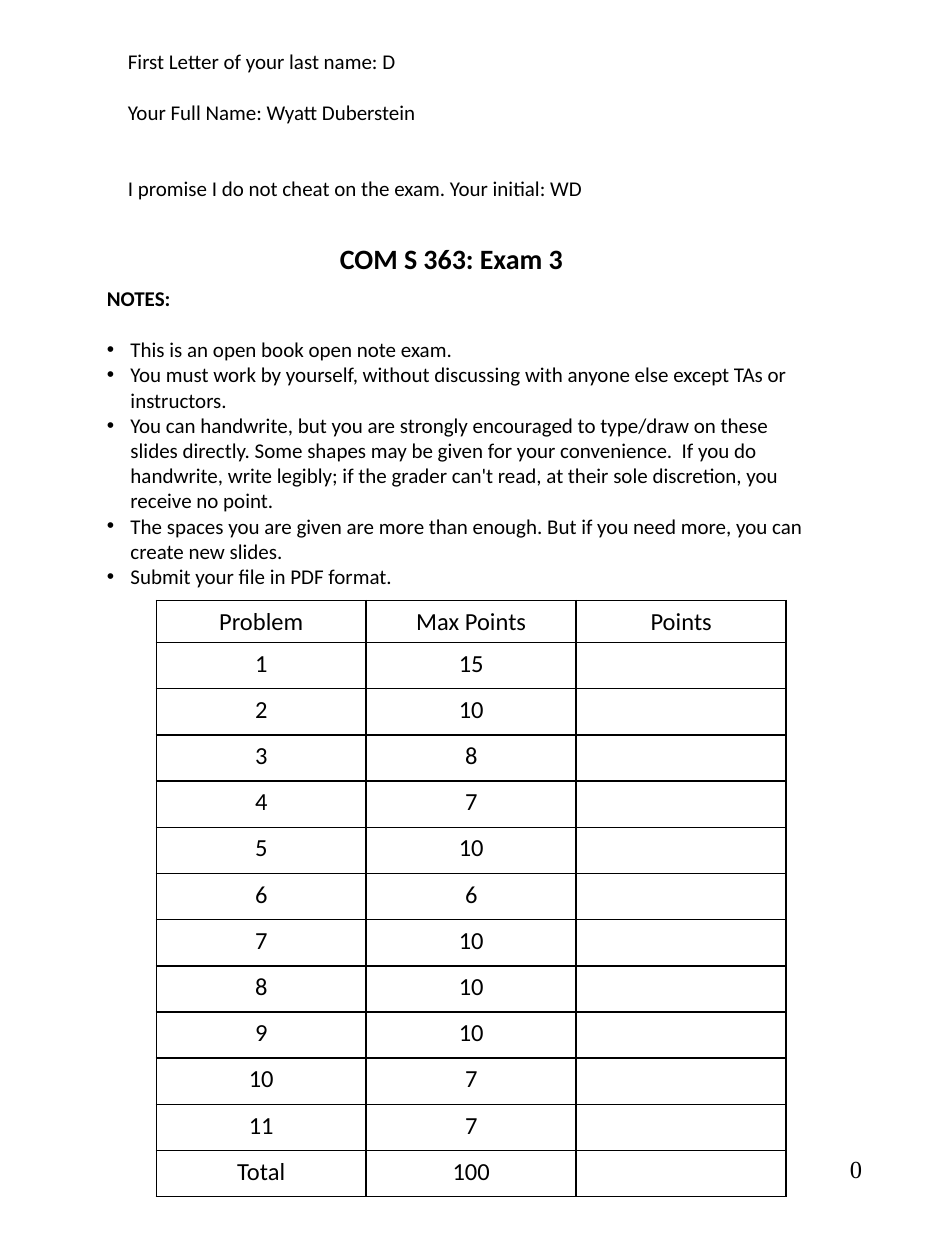
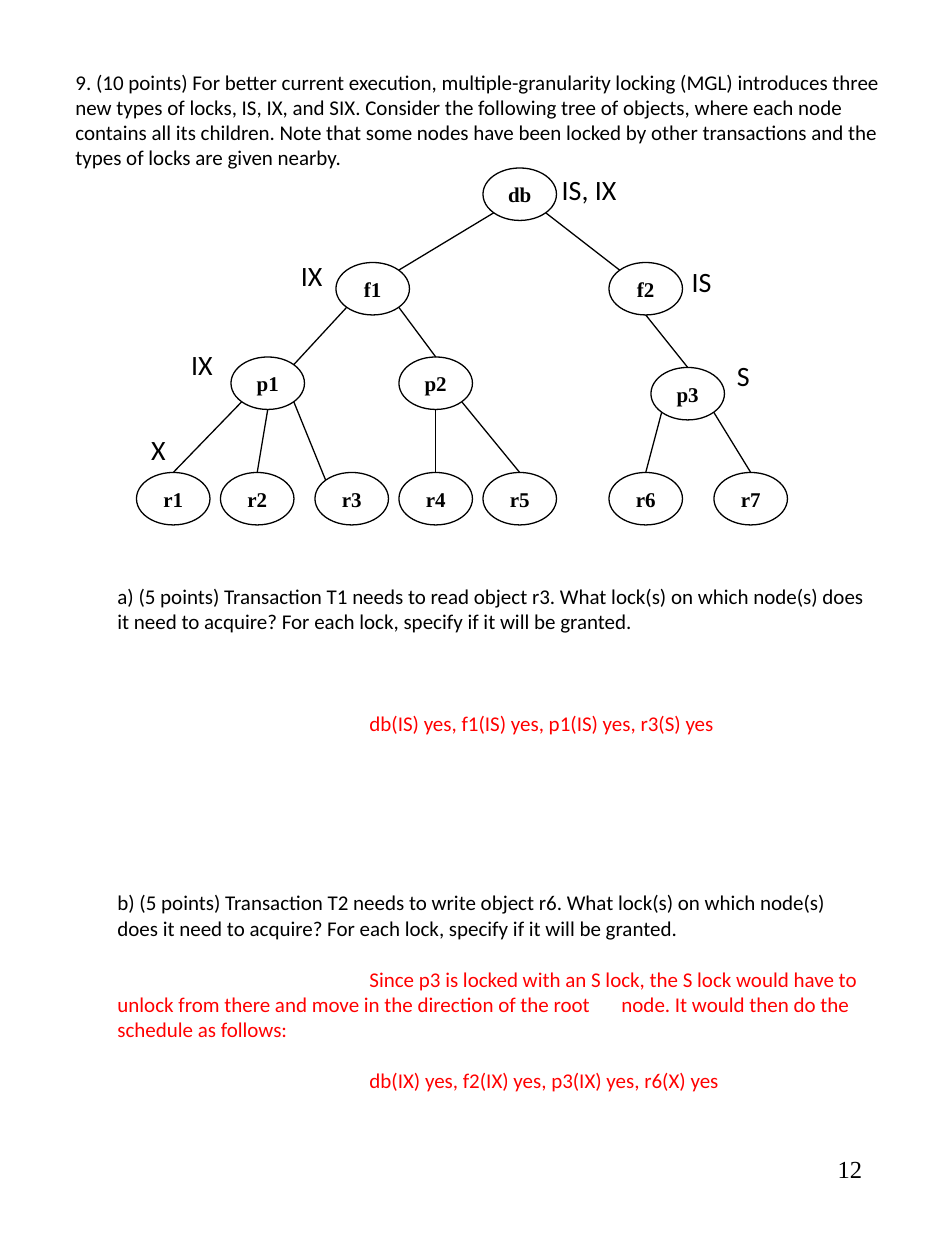
from lxml.etree import SubElement
from pptx import Presentation
from pptx.dml.color import RGBColor
from pptx.enum.shapes import MSO_CONNECTOR, MSO_SHAPE
from pptx.enum.text import MSO_ANCHOR, MSO_AUTO_SIZE, PP_ALIGN
from pptx.oxml import parse_xml
from pptx.oxml.ns import nsdecls, qn
from pptx.util import Pt

BLACK, RED = "000000", "FF0000"
LINE = 14.65
BODY = {"name": "Calibri", "size": Pt(12), "bold": False}
HEAD = BODY | {"size": Pt(16), "bold": True}
MARK = BODY | {"size": Pt(16)}
CELL = BODY | {"size": Pt(14)}
NODE = {"name": "Times New Roman", "size": Pt(12), "bold": True}
PAGE = NODE | {"size": Pt(14), "bold": False}
MID = {"alignment": PP_ALIGN.CENTER}
END = {"alignment": PP_ALIGN.RIGHT}

RULES = [
    "This is an open book open note exam.",
    "You must work by yourself, without discussing with anyone else except TAs or instructors.",
    "You can handwrite, but you are strongly encouraged to type/draw on these slides directly. "
    "Some shapes may be given for your convenience.  If you do handwrite, write legibly; "
    "if the grader can't read, at their sole discretion, you receive no point.",
    "The spaces you are given are more than enough. But if you need more, you can create new slides.",
    "Submit your file in PDF format.",
]
MAX = [15, 10, 8, 7, 10, 6, 10, 10, 10, 7, 7]

TASK = (
    "9. (10 points) For better current execution, multiple-granularity locking (MGL) introduces "
    "three new types of locks, IS, IX, and SIX. Consider the following tree of objects, where each "
    "node contains all its children. Note that some nodes have been locked by other transactions "
    "and the types of locks are given nearby."
)
ASK = "What lock(s) on which node(s) does it need to acquire? For each lock, specify if it will be granted."
WIDE, TALL = 42, 30
NODES = {
    "db": (276, 96), "f1": (192, 150), "f2": (348, 150),
    "p1": (132, 204), "p2": (228, 204), "p3": (372, 210),
} | {f"r{i}": (x, 270) for i, x in enumerate((78, 126, 180, 228, 276, 348, 408), 1)}
SITES = {"n": (0, -1), "s": (0, 1), "ne": (0.71, -0.71), "nw": (-0.71, -0.71),
         "se": (0.71, 0.71), "sw": (-0.71, 0.71)}
EDGES = [
    "db sw f1 ne", "db se f2 nw", "f1 sw p1 ne", "f1 se p2 n", "p1 sw r1 n", "p1 s r2 n",
    "p1 se r3 nw", "p2 s r4 n", "p2 se r5 n", "p3 sw r6 n", "f2 s p3 n", "p3 se r7 n",
]
LOCKS = [
    ("IS, IX", 313.9, 95, 46), ("IS", 388.1, 147.6, 26), ("S", 414, 201.6, 22.3),
    ("IX", 164.9, 144, 26.6), ("IX", 102.2, 195.1, 26.6), ("X", 79.2, 243.4, 23),
]


def paint(code):
    """Turn a hex string into a colour."""
    return RGBColor.from_string(code)


def apply(item, form):
    """Set each format value on an item."""
    for key, value in form.items():
        setattr(item, key, value)


def write(para, text, font, form=None, tint=BLACK):
    """Put one formatted run into a paragraph."""
    apply(para, form or {})
    run = para.add_run()
    run.text = text
    apply(run.font, font)
    run.font.color.rgb = paint(tint)


def next_par(frame):
    """Give the first empty paragraph, or a new one."""
    para = frame.paragraphs[-1]
    return frame.add_paragraph() if para.runs else para


def add_box(slide, spot, wrap=True):
    """Add a text box and return its frame."""
    frame = slide.shapes.add_textbox(*map(Pt, spot)).text_frame
    frame.word_wrap = wrap
    return frame


def add_text(slide, spot, text, font, form=None, wrap=True):
    """Add a text box with one paragraph."""
    write(next_par(add_box(slide, spot, wrap)), text, font, form)


def add_page(slide, text):
    """Add the page number."""
    add_text(slide, (387.4, 655.9, 112.3, 48.2), text, PAGE, END)


def set_title(slide, spot, text):
    """Place and format the title."""
    title = slide.shapes.title
    apply(title, dict(zip(("left", "top", "width", "height"), map(Pt, spot))))
    frame = title.text_frame
    apply(frame, {"auto_size": MSO_AUTO_SIZE.NONE, "vertical_anchor": MSO_ANCHOR.TOP})
    write(next_par(frame), text, HEAD, MID)


def indent(para, left, first):
    """Set the left margin and first-line indent."""
    props = para._p.get_or_add_pPr()
    props.set("marL", str(Pt(left)))
    props.set("indent", str(Pt(first)))
    return props


def add_rules(slide):
    """Add the exam notes as a bullet list."""
    frame = add_box(slide, (54, 159.8, 420.5, 181.4))
    write(next_par(frame), "NOTES:", BODY | {"bold": True})
    for i, rule in enumerate(RULES):
        para = next_par(frame)
        props = indent(para, 13.5, -13.5)
        SubElement(props, qn("a:buFont"), typeface="Arial")
        SubElement(props, qn("a:buChar"), char="•")
        write(para, rule, BODY, {"space_before": Pt(0 if i else LINE)})


def edge_cell(cell):
    """Draw a thin line round a cell."""
    props = cell._tc.get_or_add_tcPr()
    for i, side in enumerate(("lnL", "lnR", "lnT", "lnB")):
        props.insert(i, parse_xml(
            f'<a:{side} {nsdecls("a")} w="{Pt(1)}"><a:solidFill>'
            f'<a:srgbClr val="{BLACK}"/></a:solidFill></a:{side}>'))


def add_score(slide):
    """Add the table of points per problem."""
    rows = [("Problem", "Max Points", "Points")]
    rows += [(str(i), str(top), "") for i, top in enumerate(MAX, 1)]
    rows.append(("Total", str(sum(MAX)), ""))
    spot = map(Pt, (89.3, 343.2, 360, 340.8))
    table = slide.shapes.add_table(len(rows), 3, *spot).table
    apply(table, {"first_row": False, "horz_banding": False})
    for r, row in enumerate(rows):
        table.rows[r].height = Pt(26.4 if r else 24)
        for c, text in enumerate(row):
            cell = table.cell(r, c)
            cell.margin_bottom = Pt(0)
            cell.fill.background()
            edge_cell(cell)
            if text:
                write(cell.text_frame.paragraphs[0], text, CELL, MID)


def add_node(slide, name, spot):
    """Add one oval of the tree."""
    oval = slide.shapes.add_shape(MSO_SHAPE.OVAL, *map(Pt, (*spot, WIDE, TALL)))
    oval.shadow.inherit = False
    oval.fill.background()
    oval.line.color.rgb = paint(BLACK)
    oval.line.width = Pt(0.75)
    frame = oval.text_frame
    sides = ("left", "right", "top", "bottom")
    apply(frame, {f"margin_{side}": 0 for side in sides})
    frame.vertical_anchor = MSO_ANCHOR.MIDDLE
    write(next_par(frame), name, NODE, MID)


def find_site(name, side):
    """Find a point on the rim of a node."""
    (x, y), (dx, dy) = NODES[name], SITES[side]
    return Pt(x + WIDE / 2 * (1 + dx)), Pt(y + TALL / 2 * (1 + dy))


def add_edge(slide, edge):
    """Join two nodes of the tree."""
    top, out, low, into = edge.split()
    ends = find_site(top, out) + find_site(low, into)
    link = slide.shapes.add_connector(MSO_CONNECTOR.STRAIGHT, *ends)
    link.line.color.rgb = paint(BLACK)
    link.line.width = Pt(0.75)
    SubElement(link._element.spPr, qn("a:effectLst"))


def add_parts(slide):
    """Add both questions with their answers."""
    frame = add_box(slide, (60, 330, 444, 326.9))
    parts = [
        ("a) (5 points) Transaction T1 needs to read object r3. " + ASK, 0, BLACK),
        ("db(IS) yes, f1(IS) yes, p1(IS) yes, r3(S) yes", 3, RED),
        ("b) (5 points) Transaction T2 needs to write object r6. " + ASK, 6, BLACK),
        ("Since p3 is locked with an S lock, the S lock would have to unlock from there and move "
         "in the direction of the root\tnode. It would then do the schedule as follows:", 1, RED),
        ("db(IX) yes, f2(IX) yes, p3(IX) yes, r6(X) yes", 1, RED),
    ]
    for text, gap, tint in parts:
        para = next_par(frame)
        props = indent(para, 0, 144 if tint == RED else 0)
        if "\t" in text:
            tabs = SubElement(props, qn("a:tabLst"))
            SubElement(tabs, qn("a:tab"), pos=str(Pt(360)), algn="l")
        write(para, text, BODY, {"space_before": Pt(gap * LINE)}, tint)


def add_cover(deck):
    """Build the cover slide."""
    slide = deck.slides.add_slide(deck.slide_layouts[5])
    set_title(slide, (66, 134.6, 384, 26.6), "COM S 363: Exam 3")
    frame = add_box(slide, (66, 24, 402, 108.7))
    lines = [
        ("First Letter of your last name: D", 0),
        ("Your Full Name: Wyatt Duberstein", 1),
        ("I promise I do not cheat on the exam. Your initial: WD", 2),
    ]
    for text, gap in lines:
        write(next_par(frame), text, BODY, {"space_before": Pt(gap * LINE)})
    add_rules(slide)
    add_score(slide)
    add_page(slide, "0")


def add_task(deck):
    """Build the locking question slide."""
    slide = deck.slides.add_slide(deck.slide_layouts[6])
    add_text(slide, (36, 36, 480, 65.5), TASK, BODY)
    for name, spot in NODES.items():
        add_node(slide, name, spot)
    for edge in EDGES:
        add_edge(slide, edge)
    add_parts(slide)
    for text, left, top, width in LOCKS:
        add_text(slide, (left, top, width, 26.6), text, MARK, wrap=False)
    add_page(slide, "12")


def main():
    """Build and save the deck."""
    deck = Presentation()
    apply(deck, {"slide_width": Pt(540), "slide_height": Pt(720)})
    add_cover(deck)
    add_task(deck)
    deck.save("out.pptx")


if __name__ == "__main__":
    main()
